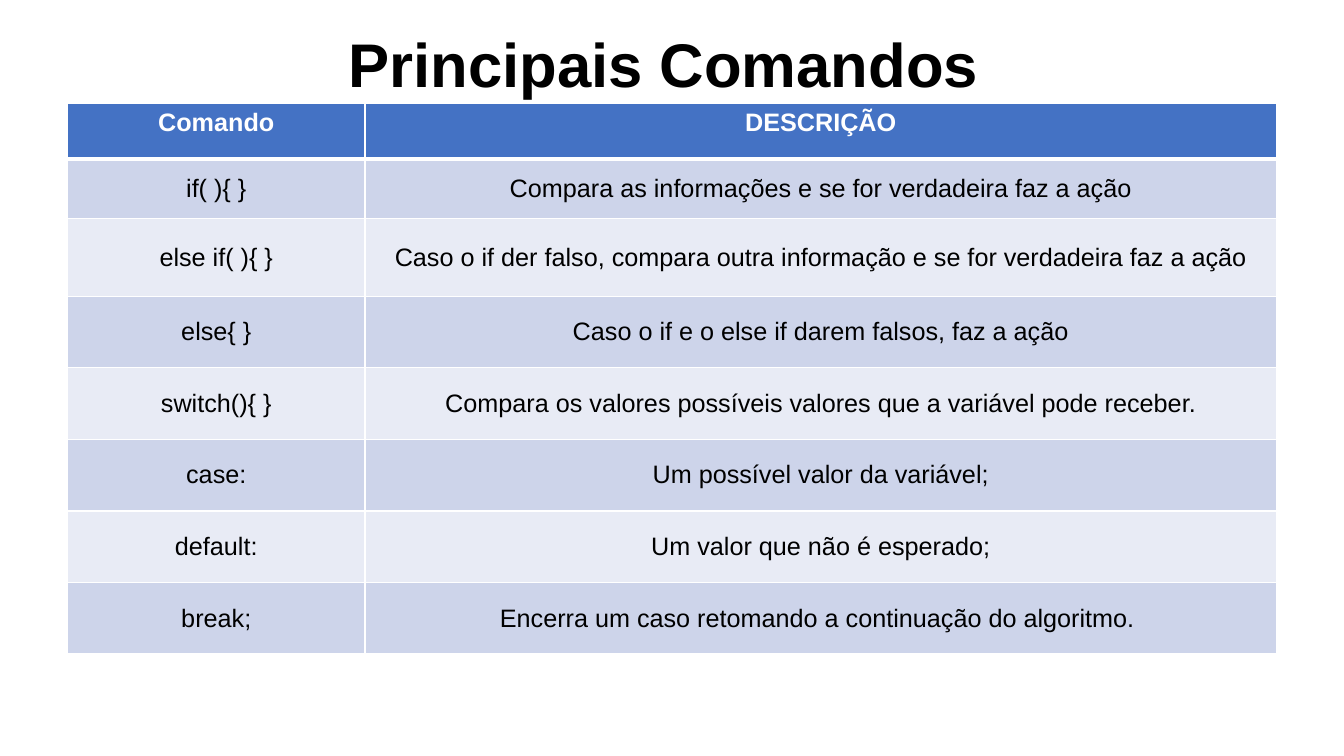
"""Build the slide that lists the main flow control commands."""
from dataclasses import dataclass

from lxml import etree
from pptx import Presentation
from pptx import util as u
from pptx.dml.color import RGBColor
from pptx.enum import text
from pptx.oxml import ns

COLORS = {
    "black": "000000",
    "white": "FFFFFF",
    "header": "4472C4",
    "odd": "CDD4EA",
    "even": "E8EBF5",
}
COLUMN_WIDTHS = (2.95, 9.04)


@dataclass
class CommandRow:
    """One table row."""
    command: str
    description: str
    height: float = 0.71


ROWS = [
    CommandRow("Comando", "DESCRIÇÃO", 0.55),
    CommandRow("if( ){ }", "Compara as informações e se for verdadeira faz a ação", 0.59),
    CommandRow(
        "else if( ){ }",
        "Caso o if der falso, compara outra informação e se for verdadeira faz a ação",
        0.77,
    ),
    CommandRow("else{ }", "Caso o if e o else if darem falsos, faz a ação"),
    CommandRow("switch(){ }", "Compara os valores possíveis valores que a variável pode receber."),
    CommandRow("case:", "Um possível valor da variável;"),
    CommandRow("default:", "Um valor que não é esperado;"),
    CommandRow("break;", "Encerra um caso retomando a continuação do algoritmo. "),
]


def write_text(frame, content: str, *, size: float = 18, color: str = "black",
               bold: bool = False, spacing: float = 1.0) -> None:
    """Write one centred, formatted paragraph into a text frame."""
    paragraph = frame.paragraphs[0]
    paragraph.alignment = text.PP_ALIGN.CENTER
    paragraph.line_spacing = spacing
    run = paragraph.add_run()
    run.text = content
    run.font.name = "Arial"
    run.font.size = u.Pt(size)
    run.font.bold = bold
    run.font.color.rgb = RGBColor.from_string(COLORS[color])


def set_borders(cell, top: float, bottom: float) -> None:
    """Give a cell white borders, with top and bottom widths in points."""
    properties = cell._tc.get_or_add_tcPr()
    for side, width in (("L", 1), ("R", 1), ("T", top), ("B", bottom)):
        line = etree.SubElement(properties, ns.qn(f"a:ln{side}"), w=str(u.Pt(width)))
        fill = etree.SubElement(line, ns.qn("a:solidFill"))
        etree.SubElement(fill, ns.qn("a:srgbClr"), val=COLORS["white"])


def add_title(slide, content: str) -> None:
    """Place and fill the title placeholder."""
    title = slide.shapes.title
    title.left, title.top = u.Inches(0.92), u.Inches(-0.05)
    title.width, title.height = u.Inches(11.5), u.Inches(1.45)
    title.text_frame.vertical_anchor = text.MSO_ANCHOR.MIDDLE
    title.text_frame.word_wrap = True
    write_text(title.text_frame, content, size=44, bold=True, spacing=0.9)


def add_command_table(slide, rows: list[CommandRow]) -> None:
    """Draw the table of commands with a header and banded rows."""
    width, height = sum(COLUMN_WIDTHS), sum(row.height for row in rows)
    table = slide.shapes.add_table(
        len(rows), len(COLUMN_WIDTHS),
        u.Inches(0.67), u.Inches(1.03), u.Inches(width), u.Inches(height),
    ).table
    for column, column_width in zip(table.columns, COLUMN_WIDTHS):
        column.width = u.Inches(column_width)
    for index, row in enumerate(rows):
        table.rows[index].height = u.Inches(row.height)
        header = index == 0
        band = "header" if header else "odd" if index % 2 else "even"
        for cell, content in zip(table.rows[index].cells, (row.command, row.description)):
            set_borders(cell, top=3 if index == 1 else 1, bottom=3 if header else 1)
            cell.fill.solid()
            cell.fill.fore_color.rgb = RGBColor.from_string(COLORS[band])
            cell.vertical_anchor = text.MSO_ANCHOR.TOP if header else text.MSO_ANCHOR.MIDDLE
            write_text(cell.text_frame, content, bold=header,
                       color="white" if header else "black")


def main() -> None:
    """Create and save the presentation."""
    presentation = Presentation()
    presentation.slide_width = u.Inches(13.33)
    presentation.slide_height = u.Inches(7.5)
    slide = presentation.slides.add_slide(presentation.slide_layouts[5])
    add_title(slide, "Principais Comandos ")
    add_command_table(slide, ROWS)
    presentation.save("out.pptx")


if __name__ == "__main__":
    main()
